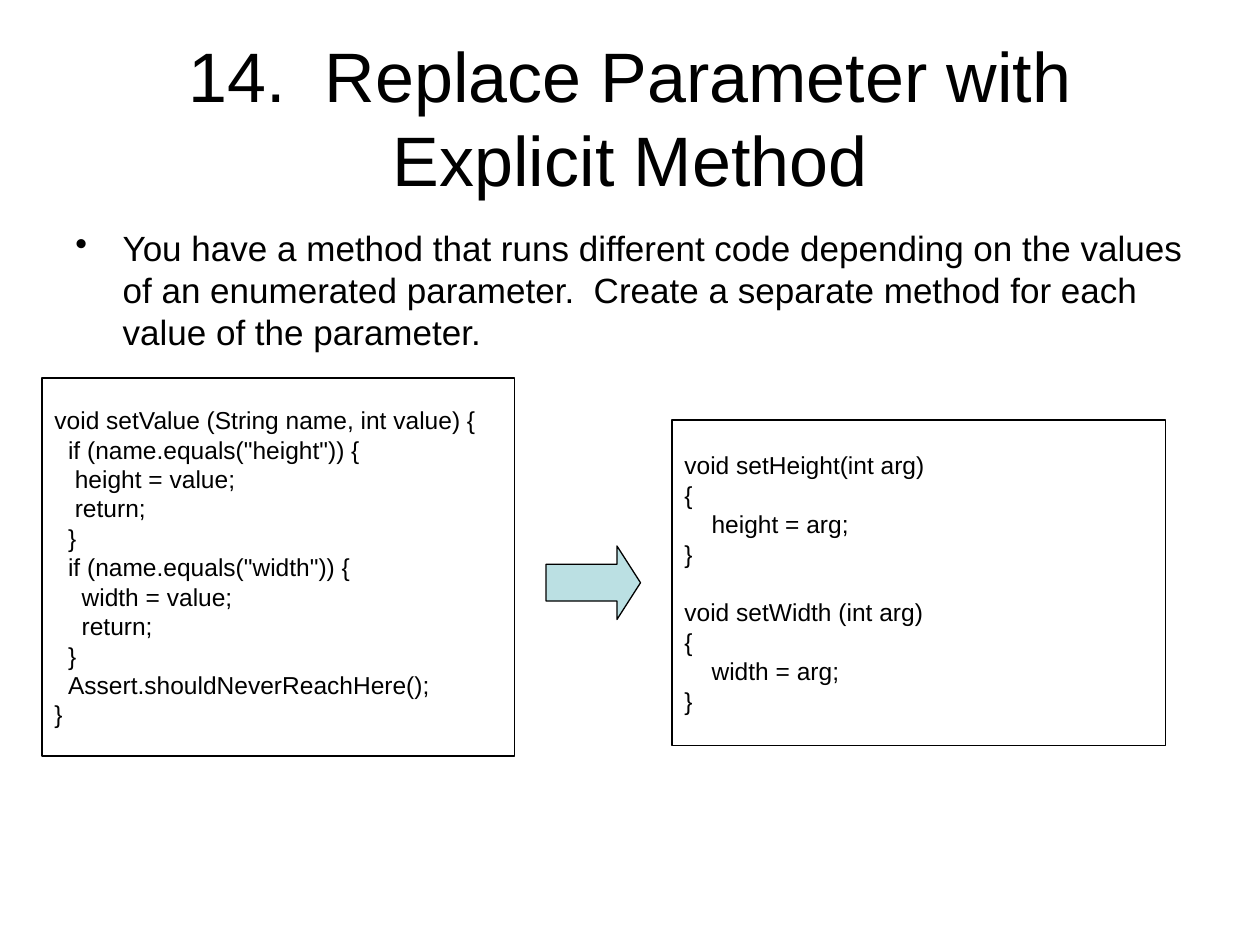
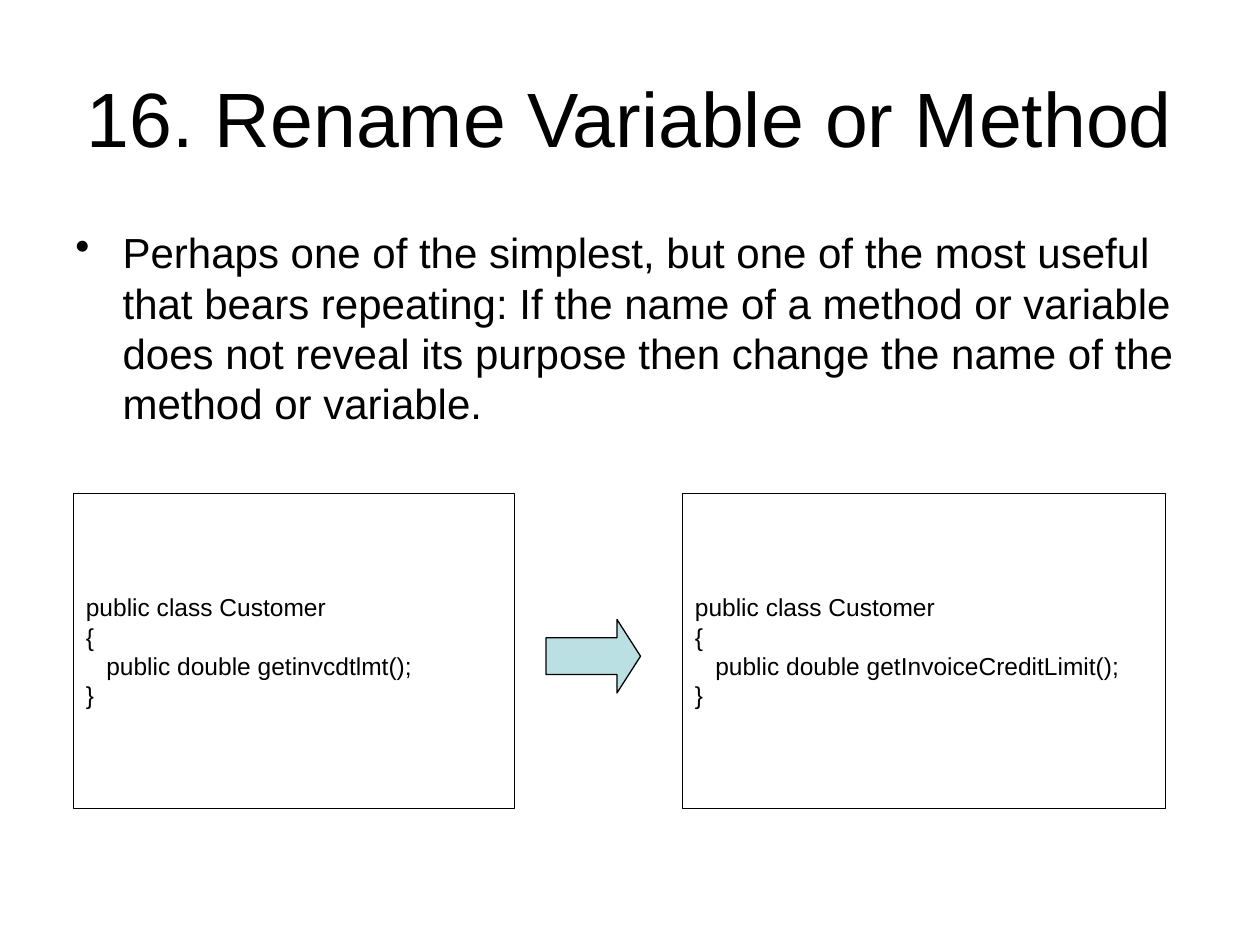
import pptx
import pptx.dml.color
import pptx.enum.shapes
import pptx.enum.text
import pptx.util
from lxml import etree

BLACK = pptx.dml.color.RGBColor(0x00, 0x00, 0x00)
PALE_TEAL = pptx.dml.color.RGBColor(0xBB, 0xE0, 0xE3)

EMU_PER_PX = 7620  # 120 px to the inch
FONT = "Arial"
LINE_HEIGHT = 1.2  # of the font size
CODE_SIZE = 14
SPACE_WIDTH = 0.278  # of the font size
HANGING_INDENT = 45

SETTER_BEFORE = """\
void setValue (String name, int value) {
  if (name.equals("height")) {
   height = value;
   return;
  }
  if (name.equals("width")) {
    width = value;
    return;
  }
  Assert.shouldNeverReachHere();
}"""

SETTERS_AFTER = """\
void setHeight(int arg)
{
    height = arg;
}

void setWidth (int arg)
{
    width = arg;
}"""

CUSTOMER = """\
public class Customer
{
   public double %s();
}"""


def px(length):
    return pptx.util.Emu(length * EMU_PER_PX)


class RefactoringDeck:
    """Holds the shared style and the slide being filled."""

    def __init__(self):
        self.deck = pptx.Presentation()
        self.deck.slide_width = px(1200)
        self.deck.slide_height = px(900)
        self.page = None

    def style(self, para, size, align=pptx.enum.text.PP_ALIGN.LEFT):
        para.alignment = align
        para.line_spacing = pptx.util.Pt(size * LINE_HEIGHT)
        para.font.name = FONT
        para.font.size = pptx.util.Pt(size)
        para.font.color.rgb = BLACK

    def title(self, text, size):
        """Start a slide with a centred title."""
        self.page = self.deck.slides.add_slide(self.deck.slide_layouts[5])
        box = self.page.shapes.title
        box.left, box.top, box.width, box.height = map(px, (60, 36, 1080, 150))
        frame = box.text_frame
        frame.text = text
        frame.auto_size = pptx.enum.text.MSO_AUTO_SIZE.NONE
        frame.vertical_anchor = pptx.enum.text.MSO_ANCHOR.MIDDLE
        self.style(frame.paragraphs[0], size, pptx.enum.text.PP_ALIGN.CENTER)

    def bullet(self, text, size):
        box = self.page.shapes.add_textbox(*map(px, (60, 210, 1080, 594)))
        box.text_frame.word_wrap = True
        para = box.text_frame.paragraphs[0]
        para.text = text
        self.style(para, size)
        properties = para._p.get_or_add_pPr()
        properties.set("marL", str(px(HANGING_INDENT)))
        properties.set("indent", str(-px(HANGING_INDENT)))
        mark = etree.SubElement(properties, pptx.oxml.ns.qn("a:buChar"))
        mark.set("char", "•")
        # Bullet marks come before the default run properties
        properties.find(pptx.oxml.ns.qn("a:defRPr")).addprevious(mark)

    def outline(self, kind, left, top, width, height):
        shape = self.page.shapes.add_shape(kind, *map(px, (left, top, width, height)))
        shape.shadow.inherit = False
        shape.line.color.rgb = BLACK
        shape.line.width = pptx.util.Pt(0.75)
        return shape

    def code(self, source, left, top, width, height):
        """Draw a framed listing; leading spaces become indents, blank lines gaps."""
        box = self.outline(pptx.enum.shapes.MSO_SHAPE.RECTANGLE, left, top, width, height)
        box.fill.background()
        frame = box.text_frame
        frame.word_wrap = True
        frame.vertical_anchor = pptx.enum.text.MSO_ANCHOR.MIDDLE
        lines = source.splitlines()
        frame.text = "\n".join(line.strip() for line in lines if line)
        paragraphs = iter(frame.paragraphs)
        gap = 0
        for line in lines:
            if not line:
                gap += CODE_SIZE * LINE_HEIGHT
                continue
            para = next(paragraphs)
            self.style(para, CODE_SIZE)
            para.space_before = pptx.util.Pt(gap)
            gap = 0
            spaces = len(line) - len(line.lstrip())
            indent = pptx.util.Pt(spaces * CODE_SIZE * SPACE_WIDTH)
            para._p.get_or_add_pPr().set("marL", str(indent))

    def arrow(self, top):
        arrow = self.outline(pptx.enum.shapes.MSO_SHAPE.RIGHT_ARROW, 520, top, 90, 70)
        arrow.adjustments[1] = 0.32
        arrow.fill.solid()
        arrow.fill.fore_color.rgb = PALE_TEAL


def main():
    deck = RefactoringDeck()

    # Replace parameter with explicit method
    deck.title("14.  Replace Parameter with Explicit Method", 40)
    deck.bullet(
        "You have a method that runs different code depending on the values of an "
        "enumerated parameter.  Create a separate method for each value of the parameter.",
        20,
    )
    deck.code(SETTER_BEFORE, 40, 360, 450, 360)
    deck.arrow(520)
    deck.code(SETTERS_AFTER, 640, 400, 470, 310)

    # Rename variable or method
    deck.title("16. Rename Variable or Method", 44)
    deck.bullet(
        "Perhaps one of the simplest, but one of the most useful that bears repeating: "
        "If the name of a method or variable does not reveal its purpose then change "
        "the name of the method or variable.",
        24,
    )
    deck.code(CUSTOMER % "getinvcdtlmt", 70, 470, 420, 300)
    deck.arrow(590)
    deck.code(CUSTOMER % "getInvoiceCreditLimit", 650, 470, 460, 300)

    deck.deck.save("out.pptx")


if __name__ == "__main__":
    main()
